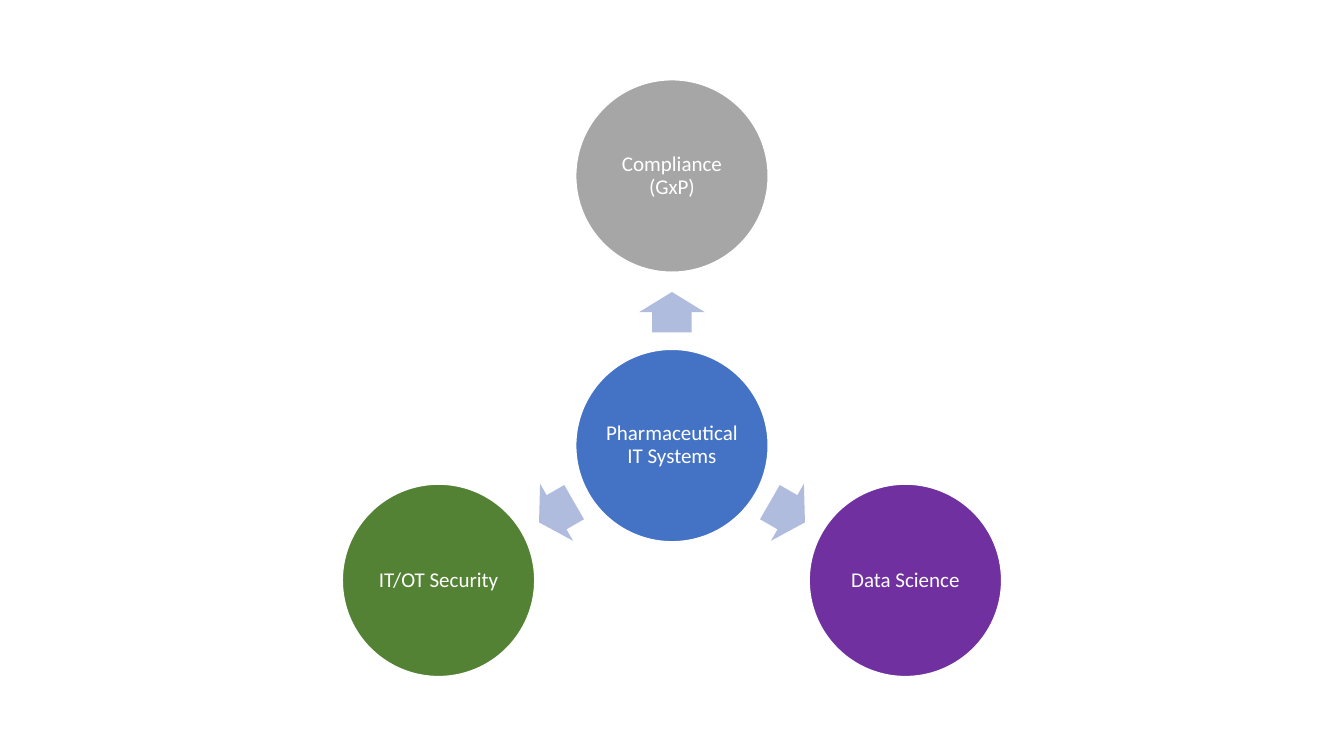
from math import cos, radians, sin

from pptx import Presentation
from pptx.dml.color import RGBColor
from pptx.enum.shapes import MSO_SHAPE
from pptx.enum.text import MSO_ANCHOR, PP_ALIGN
from pptx.util import Cm, Pt

FONT = "Calibri"
WHITE = "FFFFFF"
HUB = ("Pharmaceutical IT Systems", "4472C4")
SPOKES = [
    ("Compliance (GxP)", "A6A6A6", 270),
    ("Data Science", "7030A0", 30),
    ("IT/OT Security", "548235", 150),
]
ARROW_COLOR = "B0BCDE"
DIAMETER = 4.85
ARROW_ORBIT = 3.36
ARROW_LENGTH, ARROW_WIDTH = 1.02, 1.66


def color(hex_code):
    return RGBColor.from_string(hex_code)


def centered_shape(slide, preset, x, y, width, height, fill):
    shape = slide.shapes.add_shape(
        preset, Cm(x - width / 2), Cm(y - height / 2), Cm(width), Cm(height))
    shape.shadow.inherit = False
    shape.fill.solid()
    shape.fill.fore_color.rgb = color(fill)
    return shape


def topic_circle(slide, x, y, topic, fill):
    circle = centered_shape(slide, MSO_SHAPE.OVAL, x, y, DIAMETER, DIAMETER, fill)
    circle.line.color.rgb = color(WHITE)
    circle.line.width = Pt(1)
    frame = circle.text_frame
    frame.word_wrap = True
    frame.vertical_anchor = MSO_ANCHOR.MIDDLE
    frame.margin_left = frame.margin_right = Cm(0.05)
    frame.margin_top = frame.margin_bottom = Cm(0.05)
    paragraph = frame.paragraphs[0]
    paragraph.alignment = PP_ALIGN.CENTER
    paragraph.line_spacing = 0.9
    run = paragraph.add_run()
    run.text = topic
    run.font.name = FONT
    run.font.size = Pt(15)
    run.font.color.rgb = color(WHITE)


def spoke_arrow(slide, x, y, angle):
    arrow = centered_shape(
        slide, MSO_SHAPE.RIGHT_ARROW, x, y, ARROW_LENGTH, ARROW_WIDTH, ARROW_COLOR)
    arrow.line.fill.background()
    arrow.adjustments[0] = 0.6
    arrow.adjustments[1] = 0.5
    arrow.rotation = angle


def radial_diagram(slide, left, top, width, height):
    orbit = (height - DIAMETER) / (1 + sin(radians(30)))
    hub_x = left + width / 2
    hub_y = top + DIAMETER / 2 + orbit

    def around_hub(radius, angle):
        turn = radians(angle)
        return hub_x + radius * cos(turn), hub_y + radius * sin(turn)

    topic_circle(slide, hub_x, hub_y, *HUB)
    for topic, fill, angle in SPOKES:
        spoke_arrow(slide, *around_hub(ARROW_ORBIT, angle), angle)
        topic_circle(slide, *around_hub(orbit, angle), topic, fill)


presentation = Presentation()
presentation.slide_width = Cm(33.87)
presentation.slide_height = Cm(19.05)
slide = presentation.slides.add_slide(presentation.slide_layouts[6])
radial_diagram(slide, left=8.63, top=2.01, width=16.61, height=15.04)
presentation.save("out.pptx")
